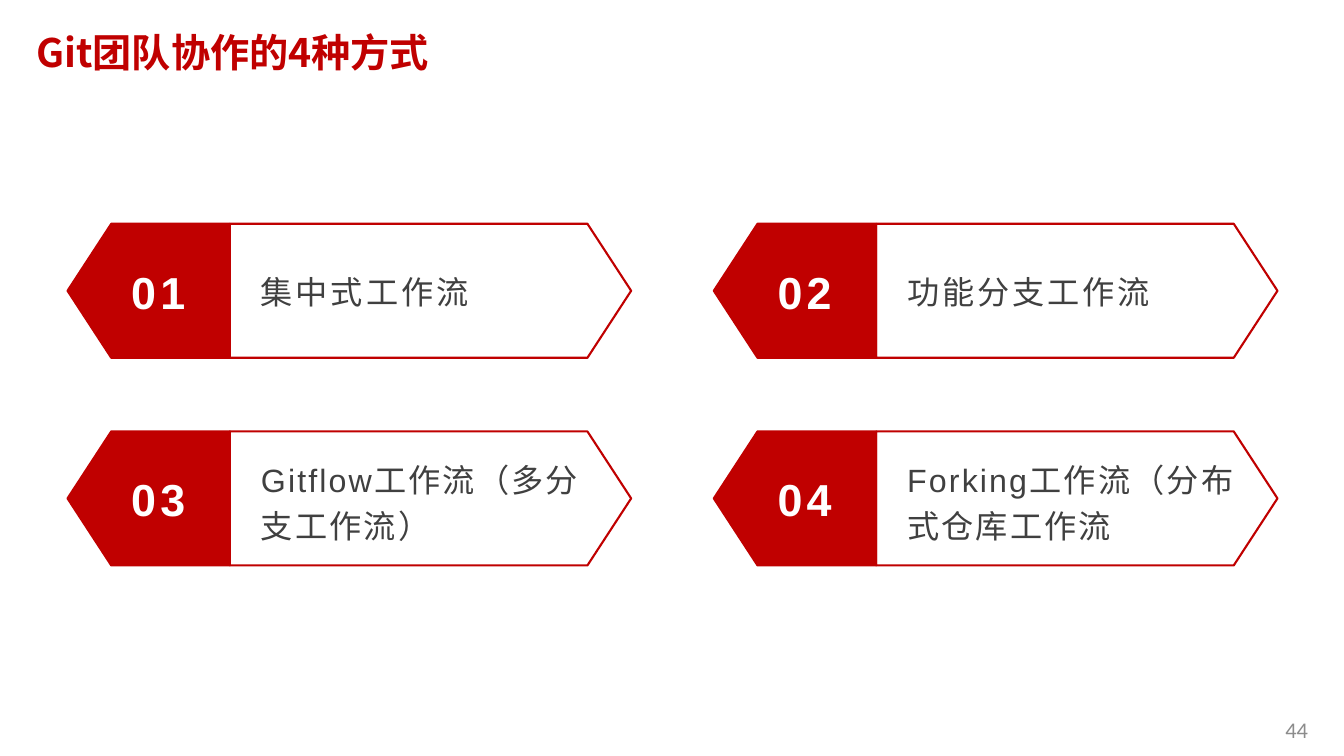
from dataclasses import dataclass

from lxml.etree import SubElement
from pptx import Presentation
from pptx.dml.color import RGBColor
from pptx.enum.shapes import MSO_SHAPE as Preset
from pptx.enum.text import MSO_ANCHOR as Anchor, PP_ALIGN as Align
from pptx.oxml.ns import qn
from pptx.util import Inches, Pt


@dataclass(frozen=True)
class Theme:
    red: RGBColor = RGBColor(0xC0, 0x00, 0x00)
    white: RGBColor = RGBColor(0xFF, 0xFF, 0xFF)
    ink: RGBColor = RGBColor(0x40, 0x40, 0x40)
    gray: RGBColor = RGBColor(0x8C, 0x8C, 0x8C)
    title_font: str = "Noto Sans CJK SC"
    body_font: str = "Arial"
    page_font: str = "Calibri"
    title_size: int = 28
    number_size: int = 32
    label_size: int = 23
    page_size: int = 16
    line_width: float = 1.5


THEME = Theme()
WORKFLOWS = [
    ("集中式工作流", 2, 1),
    ("功能分支工作流", 2, 1),
    ("Gitflow工作流（多分支工作流）", 1.5, 1.2),
    ("Forking工作流（分布式仓库工作流", 1.5, 1.2),
]
COLUMNS = 2
LEFT, TOP = 0.67, 2.22
COLUMN_STEP, ROW_STEP = 6.41, 2.06
TAB_WIDTH, PANEL_WIDTH, HEIGHT = 1.61, 3.98, 1.33


def style_text(para, font, size, color, bold=False, tracking=0):
    para.font.name = font
    para.font.size = Pt(size)
    para.font.color.rgb = color
    para.font.bold = bold
    properties = para._p.pPr.find(qn("a:defRPr"))
    properties.set("spc", str(int(tracking * 100)))
    SubElement(properties, qn("a:ea")).set("typeface", THEME.title_font)


def add_title(page, text):
    title = page.shapes.title
    title.left, title.top = Inches(0.26), Inches(0.23)
    title.width, title.height = Inches(11.5), Inches(0.57)
    title.text_frame.text = text
    title.text_frame.vertical_anchor = Anchor.MIDDLE
    para = title.text_frame.paragraphs[0]
    para.alignment = Align.LEFT
    style_text(para, THEME.title_font, THEME.title_size, THEME.red, bold=True)


def add_text(page, text, left, top, width, height, inset=None, wrap=True):
    box = page.shapes.add_textbox(Inches(left), Inches(top), Inches(width), Inches(height))
    frame = box.text_frame
    frame.word_wrap = wrap
    frame.vertical_anchor = Anchor.MIDDLE
    if inset is not None:
        frame.margin_left = frame.margin_right = Inches(inset)
        frame.margin_top = frame.margin_bottom = Inches(inset)
    frame.text = text
    return frame.paragraphs[0]


def add_pentagon(page, left, top, width, filled):
    pentagon = page.shapes.add_shape(
        Preset.PENTAGON, Inches(left), Inches(top), Inches(width), Inches(HEIGHT)
    )
    pentagon.adjustments[0] = 0.326
    pentagon.shadow.inherit = False
    pentagon.line.color.rgb = THEME.red
    pentagon.line.width = Pt(THEME.line_width)
    if filled:
        pentagon.fill.solid()
        pentagon.fill.fore_color.rgb = THEME.red
    else:
        pentagon.fill.background()
    return pentagon


def add_workflow(page, index, label, tracking, line_spacing):
    row, column = divmod(index, COLUMNS)
    left = LEFT + column * COLUMN_STEP
    top = TOP + row * ROW_STEP

    tab = add_pentagon(page, left, top, TAB_WIDTH, filled=True)
    tab._element.spPr.get_or_add_xfrm().set("flipH", "1")
    add_pentagon(page, left + TAB_WIDTH, top, PANEL_WIDTH, filled=False)

    number = add_text(page, f"{index + 1:02d}", left + 0.46, top + 0.28, 0.88, 0.78, inset=0)
    number.alignment = Align.CENTER
    style_text(number, THEME.body_font, THEME.number_size, THEME.white, bold=True, tracking=3)

    para = add_text(page, label, left + 1.82, top + 0.15, 3.56, 1.04)
    para.line_spacing = line_spacing
    para.space_after = Pt(8)
    style_text(para, THEME.body_font, THEME.label_size, THEME.ink, tracking=tracking)


def add_page_number(page, number):
    para = add_text(page, str(number), 12.65, 7.05, 0.46, 0.37, wrap=False)
    style_text(para, THEME.page_font, THEME.page_size, THEME.gray)


def main():
    deck = Presentation()
    deck.slide_width, deck.slide_height = Inches(13.33), Inches(7.5)
    page = deck.slides.add_slide(deck.slide_layouts.get_by_name("Title Only"))
    add_title(page, "Git团队协作的4种方式")
    for index, (label, tracking, line_spacing) in enumerate(WORKFLOWS):
        add_workflow(page, index, label, tracking, line_spacing)
    add_page_number(page, 44)
    deck.save("out.pptx")


if __name__ == "__main__":
    main()
